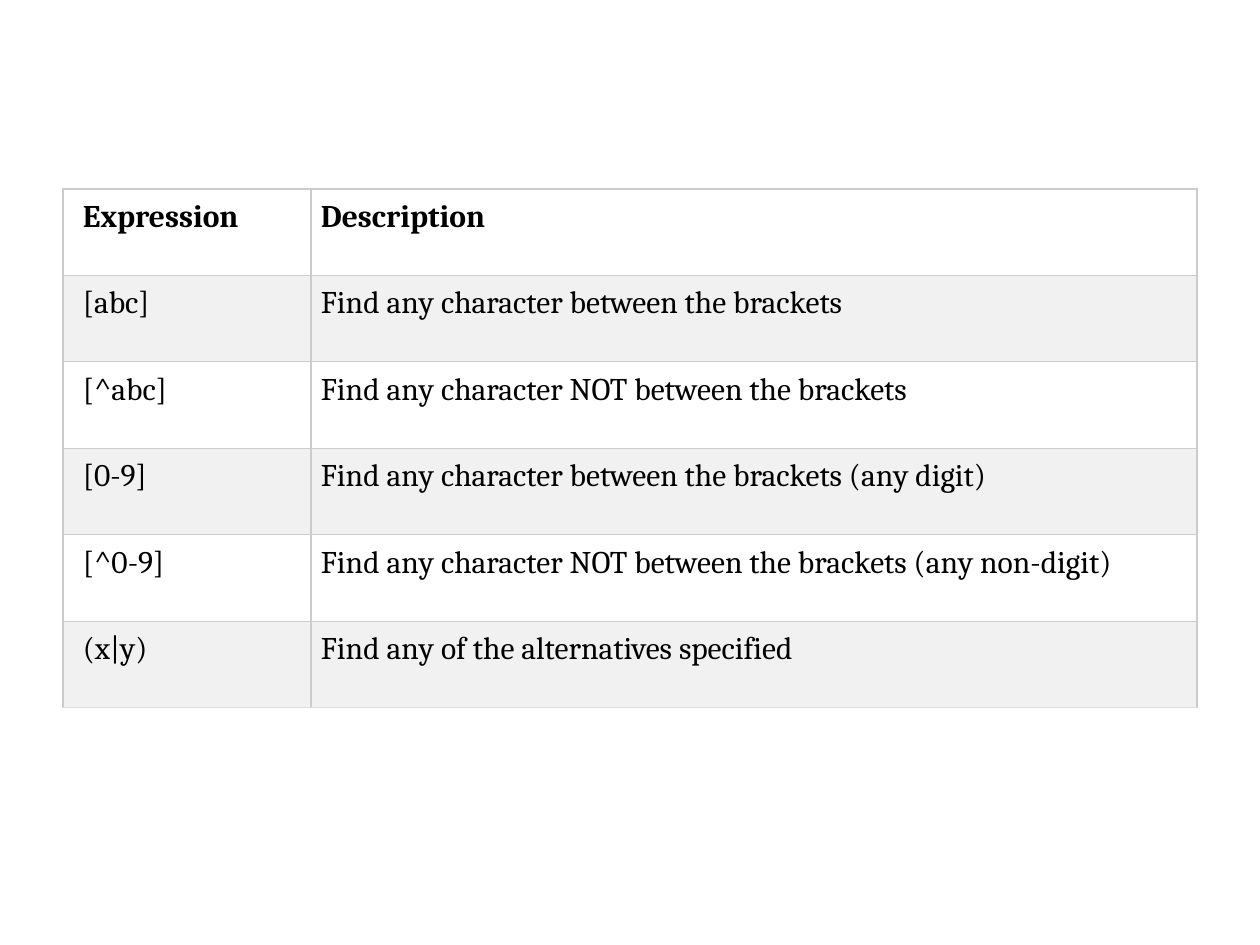
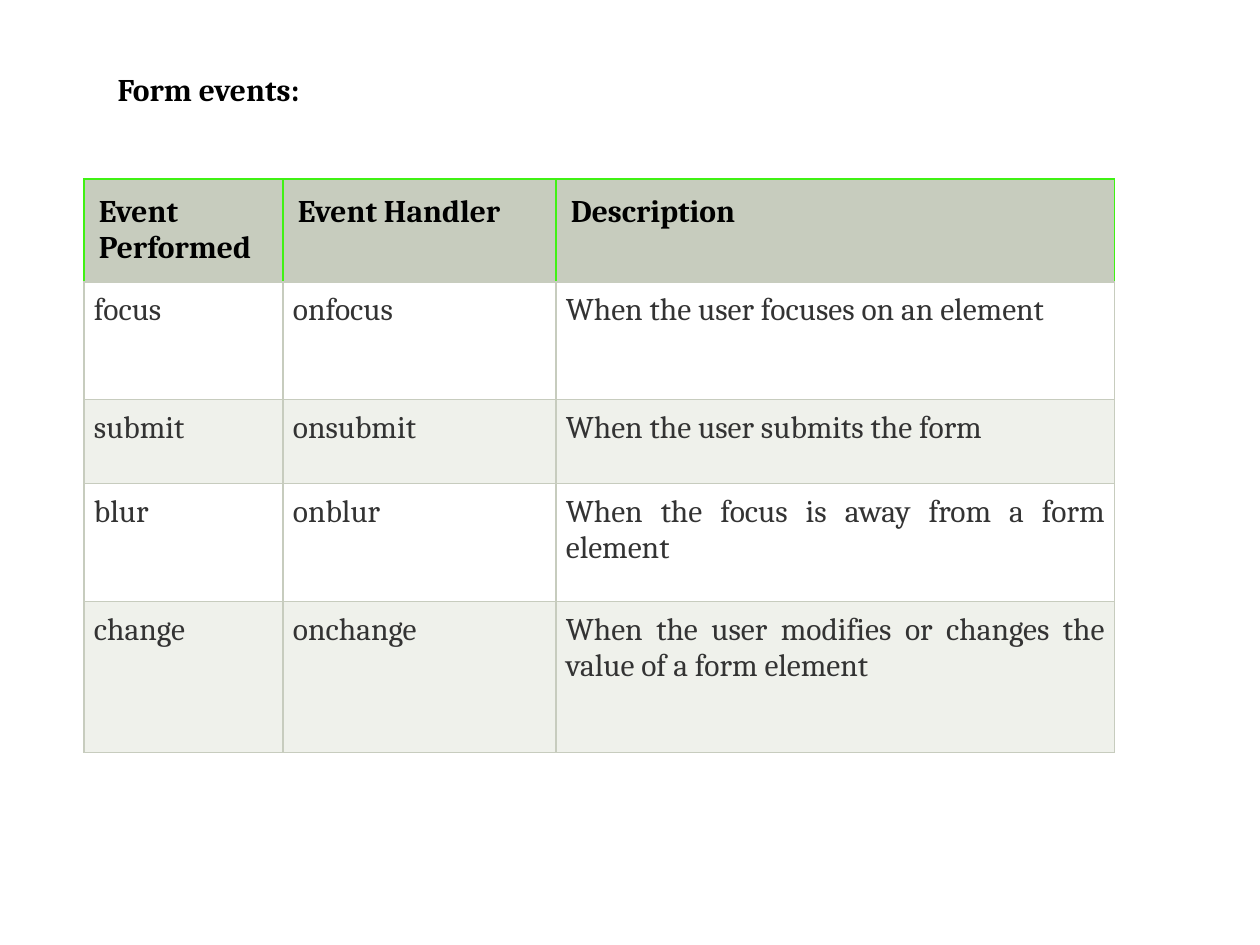
import lxml.etree
import pptx
import pptx.dml.color
import pptx.enum.text
import pptx.oxml.ns
import pptx.util

RGBColor = pptx.dml.color.RGBColor
Align = pptx.enum.text.PP_ALIGN

# Shared scale, font and colours
PIXEL = 914400 // 126
FONT = {"name": "Cambria", "size": pptx.util.Pt(18)}
BLACK = RGBColor(0x00, 0x00, 0x00)
CHARCOAL = RGBColor(0x33, 0x33, 0x33)
WHITE = RGBColor(0xFF, 0xFF, 0xFF)
PALE_GREY = RGBColor(0xF1, 0xF1, 0xF1)
RULE_GREY = RGBColor(0xCC, 0xCC, 0xCC)
END_GREY = RGBColor(0xDD, 0xDD, 0xDD)
SAGE = RGBColor(0xC7, 0xCC, 0xBE)
PALE_SAGE = RGBColor(0xEF, 0xF1, 0xEB)
GREEN = RGBColor(0x40, 0xF1, 0x14)

EXPRESSIONS = [
    ("Expression", "Description"),
    ("[abc]", "Find any character between the brackets"),
    ("[^abc]", "Find any character NOT between the brackets"),
    ("[0-9]", "Find any character between the brackets (any digit)"),
    ("[^0-9]", "Find any character NOT between the brackets (any non-digit)"),
    ("(x|y)", "Find any of the alternatives specified"),
]
FORM_EVENTS = [
    ("Event Performed", "Event Handler", "Description"),
    ("focus", "onfocus", "When the user focuses on an element"),
    ("submit", "onsubmit", "When the user submits the form"),
    ("blur", "onblur", "When the focus is away from a form element"),
    ("change", "onchange", "When the user modifies or changes the value of a form element"),
]


def px(length):
    return pptx.util.Emu(round(length * PIXEL))


def set_attributes(target, values):
    for name, value in values.items():
        setattr(target, name, value)


def write_text(frame, text, colour, bold, alignment=Align.LEFT):
    paragraph = frame.paragraphs[0]
    paragraph.alignment = alignment
    run = paragraph.add_run()
    run.text = text
    set_attributes(run.font, {**FONT, "bold": bold})
    run.font.color.rgb = colour


def set_margins(target, left, other):
    set_attributes(target, {"margin_left": px(left), "margin_top": px(other),
                            "margin_right": px(other), "margin_bottom": px(other)})


def draw_borders(cell, sides, bottom):
    properties = cell._tc.get_or_add_tcPr()
    for side, colour in zip("LRTB", (sides, sides, sides, bottom)):
        line = lxml.etree.SubElement(properties, pptx.oxml.ns.qn("a:ln" + side), w="9525")
        fill = lxml.etree.SubElement(line, pptx.oxml.ns.qn("a:solidFill"))
        lxml.etree.SubElement(fill, pptx.oxml.ns.qn("a:srgbClr"), val=str(colour))


def add_grid(slide, left, top, widths, heights, rows, style_cell):
    """Place a table; style_cell gives the look of the cell at a row and column."""
    table = slide.shapes.add_table(len(rows), len(widths), px(left), px(top),
                                   px(sum(widths)), px(sum(heights))).table
    set_attributes(table, {"first_row": False, "horz_banding": False})
    for column, width in zip(table.columns, widths):
        column.width = px(width)
    for row, height in zip(table.rows, heights):
        row.height = px(height)
    for row_index, texts in enumerate(rows):
        for column_index, text in enumerate(texts):
            cell = table.cell(row_index, column_index)
            style = style_cell(row_index, column_index)
            set_margins(cell, *style["margins"])
            draw_borders(cell, *style["borders"])
            cell.fill.solid()
            cell.fill.fore_color.rgb = style["fill"]
            write_text(cell.text_frame, text, *style["text"])


def style_expression(row, column):
    last = row == len(EXPRESSIONS) - 1
    return {"margins": (10 if column else 20, 10),
            "borders": (RULE_GREY, END_GREY if last else RULE_GREY),
            "fill": PALE_GREY if row % 2 else WHITE,
            "text": (BLACK, row == 0)}


def style_event(row, column):
    if row == 0:
        return {"margins": (15, 15), "borders": (GREEN, SAGE), "fill": SAGE,
                "text": (BLACK, True)}
    return {"margins": (10, 10), "borders": (SAGE, SAGE),
            "fill": WHITE if row % 2 else PALE_SAGE,
            "text": (CHARCOAL, False, Align.JUSTIFY)}


def place_title(slide, left, top, width, height, text):
    title = slide.shapes.title
    set_attributes(title, {"left": px(left), "top": px(top),
                           "width": px(width), "height": px(height)})
    frame = title.text_frame
    set_attributes(frame, {"word_wrap": True,
                           "auto_size": pptx.enum.text.MSO_AUTO_SIZE.NONE,
                           "vertical_anchor": pptx.enum.text.MSO_ANCHOR.TOP})
    write_text(frame, text, BLACK, True)


def build_expression_slide(presentation):
    slide = presentation.slides.add_slide(presentation.slide_layouts[6])
    row_height = 519 / len(EXPRESSIONS)
    add_grid(slide, 63, 189, (248, 886), [row_height] * len(EXPRESSIONS),
             EXPRESSIONS, style_expression)


def build_event_slide(presentation):
    slide = presentation.slides.add_slide(presentation.slide_layouts[5])
    place_title(slide, 105, 64, 630, 93, "Form events:")
    add_grid(slide, 84, 179, (199, 273, 559), (103, 118, 84, 118, 151),
             FORM_EVENTS, style_event)


presentation = pptx.Presentation()
set_attributes(presentation, {"slide_width": px(1260), "slide_height": px(945)})
build_expression_slide(presentation)
build_event_slide(presentation)
presentation.save("out.pptx")
